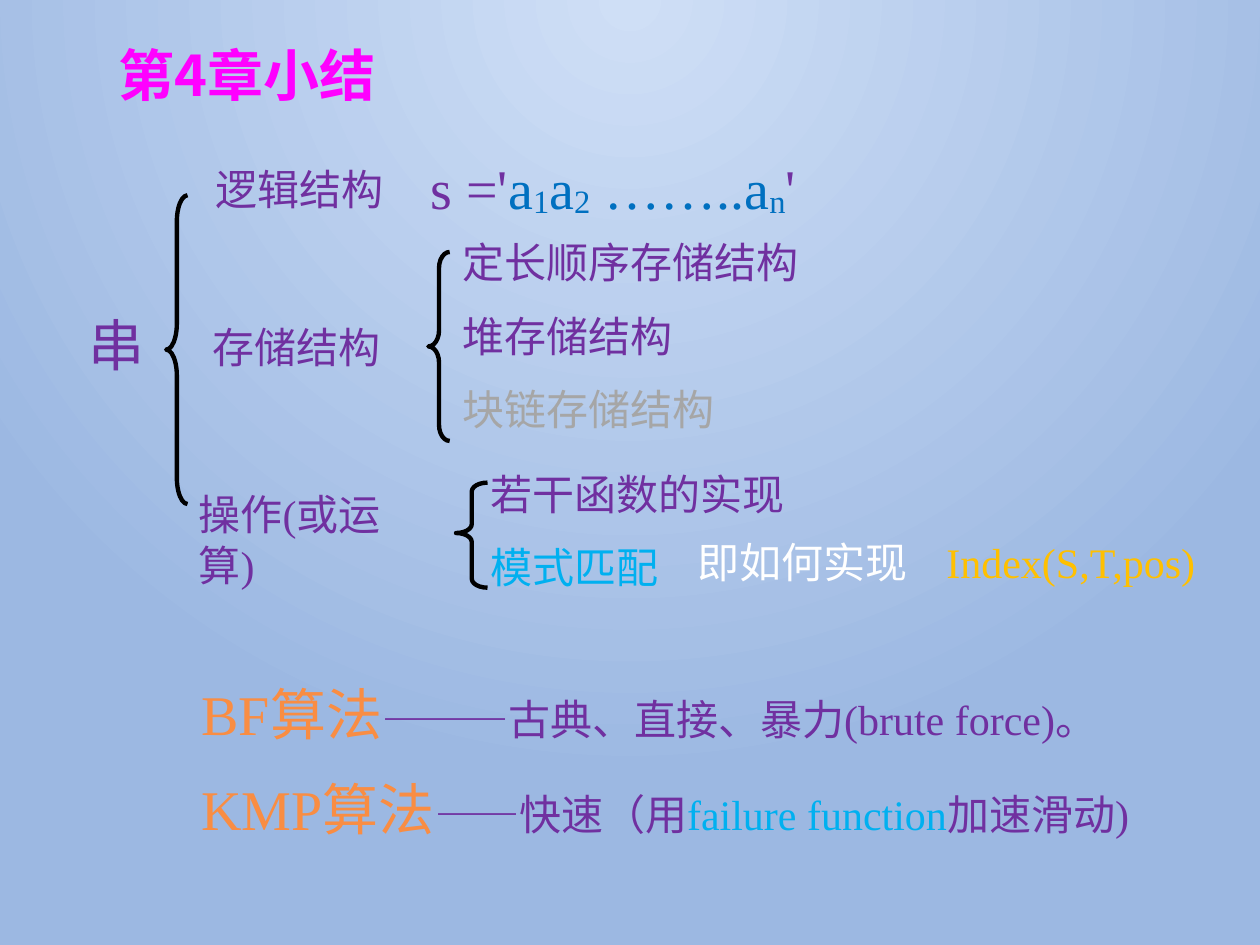
"""Build the chapter 4 summary slide on strings."""
from pptx import Presentation
from pptx.dml.color import RGBColor
from pptx.enum.shapes import MSO_SHAPE
from pptx.oxml import parse_xml
from pptx.oxml.ns import nsdecls
from pptx.util import Pt

THEME = {
    "title": "FF00FF", "main": "7030A0", "math": "0070C0", "mute": "A6A6A6",
    "key": "00B0F0", "note": "FFFFFF", "call": "FFC000", "algo": "F98D43",
    "line": "000000", "glow": "CFDFF6", "edge": "9CB8E2",
    "big": 32, "text": 24, "font": "Times New Roman", "head": "Noto Sans CJK SC",
}
BIG, TEXT = THEME["big"], THEME["text"]
STEP = 42
SUB = -8000

TITLE = ("第4章小结", 60.5, 23.8, 516, 60)
ROOT = ("串", 43.2, 174.2, 48, 45)
TOPICS = [
    ("逻辑结构", 116, 90, 114),
    ("存储结构", 114.5, 180, 114),
    ("操作(或运算)", 106.5, 275.8, 144),
]
LISTS = [
    (257, 131.8, [("定长顺序存储结构", "main"), ("堆存储结构", "main"), ("块链存储结构", "mute")]),
    (273, 264, [("若干函数的实现", "main"), ("模式匹配", "key")]),
]
BRACES = [
    (95, 111.6, 12.2, 176.4, 1.22, 0.5),
    (244.8, 144, 12.2, 108, 0.75, 0.5),
    (260.6, 275.8, 18, 60, 0.28, 0.48),
]
FORMULA = [
    ("s ='", "main", 0), ("a", "math", 0), ("1", "math", SUB), ("a", "math", 0),
    ("2", "math", SUB), (" ……..a", "math", 0), ("n", "math", SUB), ("'", "main", 0),
]
INDEX = [("即如何实现", "note"), ("\tIndex(S,T,pos)", "call")]
ALGOS = [
    [("BF算法", "algo", BIG), ("———古典、直接、暴力(brute force)。", "main", TEXT)],
    [("KMP算法", "algo", BIG), ("——快速（用", "main", TEXT),
     ("failure function", "key", TEXT), ("加速滑动)", "main", TEXT)],
]


def tint(name):
    return RGBColor.from_string(THEME[name])


def add_box(slide, x, y, w, h):
    frame = slide.shapes.add_textbox(Pt(x), Pt(y), Pt(w), Pt(h)).text_frame
    frame.word_wrap = True
    return frame


def add_run(para, text, color):
    run = para.add_run()
    run.text = text
    run.font.color.rgb = tint(color)
    return run


def add_label(slide, text, x, y, w, h=36, color="main", size=TEXT, font="font"):
    para = add_box(slide, x, y, w, h).paragraphs[0]
    para.text = text
    para.font.size = Pt(size)
    para.font.name = THEME[font]
    para.font.color.rgb = tint(color)
    return para


def add_brace(slide, x, y, w, h, curl, mid):
    brace = slide.shapes.add_shape(MSO_SHAPE.LEFT_BRACE, Pt(x), Pt(y), Pt(w), Pt(h))
    brace.shadow.inherit = False
    brace.fill.background()
    brace.line.color.rgb = tint("line")
    brace.line.width = Pt(2.5)
    brace.adjustments[0] = curl
    brace.adjustments[1] = mid


def set_back(slide):
    fill = slide.background.fill
    fill.gradient()
    for stop, name in zip(fill.gradient_stops, ("glow", "edge")):
        stop.color.rgb = tint(name)
    grad = slide.element.cSld.bg.bgPr.find(".//{*}gradFill")
    for old in grad.findall("{*}lin"):
        grad.remove(old)
    grad.append(parse_xml(
        f'<a:path {nsdecls("a")} path="circle">'
        '<a:fillToRect l="43000" t="0" r="43000" b="100000"/></a:path>'))


def add_formula(slide):
    para = add_box(slide, 239, 84.2, 408, 45).paragraphs[0]
    para.font.size = Pt(BIG)
    para.font.name = THEME["font"]
    for text, color, shift in FORMULA:
        run = add_run(para, text, color)
        if shift:
            run.font._element.set("baseline", str(shift))


def add_index(slide):
    para = add_box(slide, 391.7, 303, 309, 36).paragraphs[0]
    para._p.get_or_add_pPr().append(parse_xml(
        f'<a:tabLst {nsdecls("a")}><a:tab pos="{Pt(142)}" algn="l"/></a:tabLst>'))
    para.font.size = Pt(TEXT)
    para.font.name = THEME["font"]
    for text, color in INDEX:
        add_run(para, text, color)


def add_algos(slide):
    frame = add_box(slide, 108, 384.5, 555, 104.4)
    for row, runs in enumerate(ALGOS):
        para = frame.add_paragraph() if row else frame.paragraphs[0]
        para.font.name = THEME["font"]
        if row:
            para.space_before = Pt(BIG / 2)
        for text, color, size in runs:
            add_run(para, text, color).font.size = Pt(size)


def main():
    deck = Presentation()
    deck.slide_width, deck.slide_height = Pt(720), Pt(540)
    slide = deck.slides.add_slide(deck.slide_layouts[6])
    set_back(slide)
    title = add_label(slide, *TITLE, color="title", size=BIG, font="head")
    title.font.bold = True
    title.line_spacing = 0.9
    add_label(slide, *ROOT, size=BIG)
    for brace in BRACES:
        add_brace(slide, *brace)
    for topic in TOPICS:
        add_label(slide, *topic)
    for x, top, items in LISTS:
        for row, (text, color) in enumerate(items):
            add_label(slide, text, x, top + row * STEP, 210, color=color)
    add_formula(slide)
    add_index(slide)
    add_algos(slide)
    deck.save("out.pptx")


if __name__ == "__main__":
    main()
